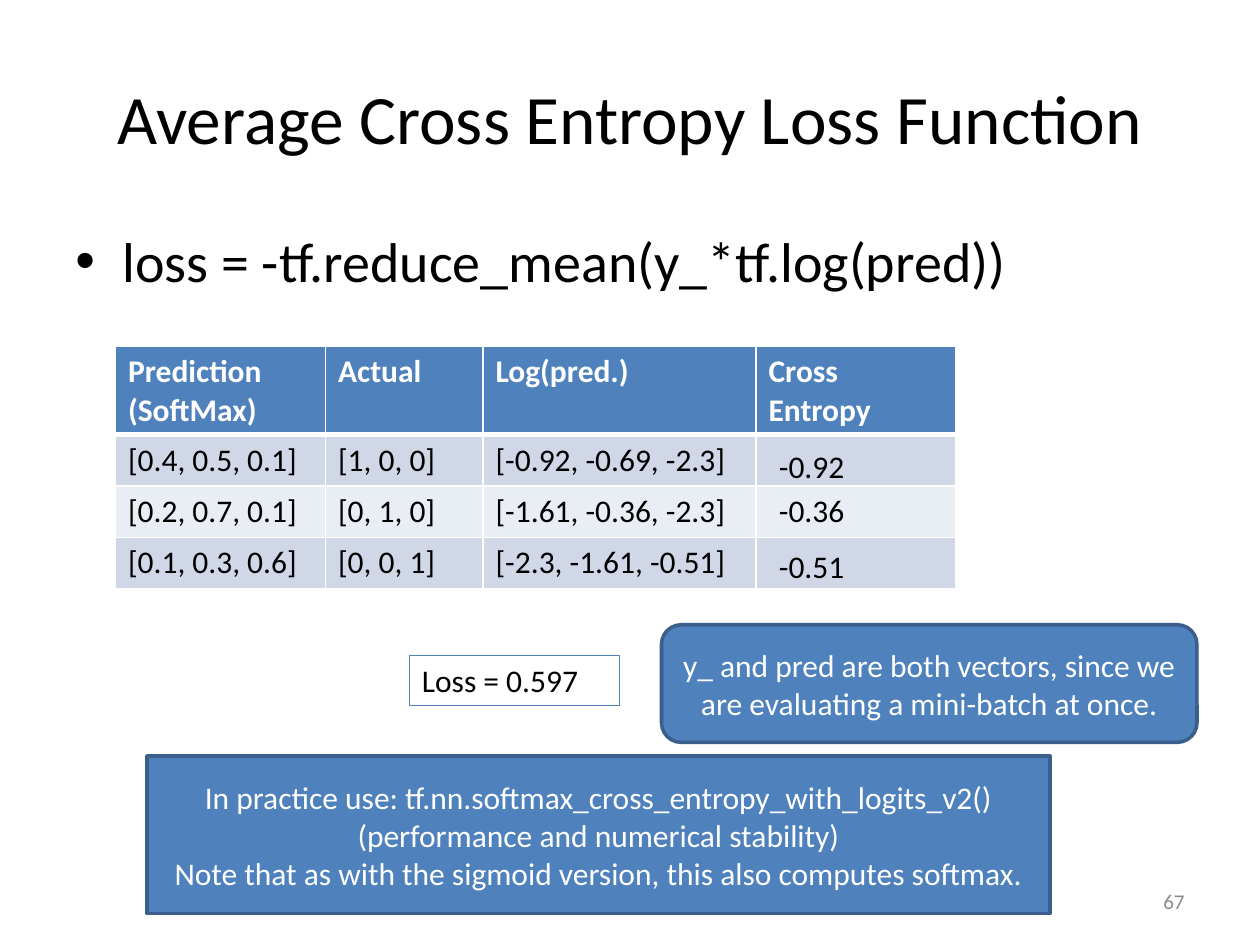
from dataclasses import dataclass

import pptx
import pptx.dml.color
import pptx.enum.shapes
import pptx.enum.text
import pptx.oxml
import pptx.oxml.ns
import pptx.util

SCALE = 7620  # EMU per px, 120 px to the inch
SHAPE = pptx.enum.shapes.MSO_SHAPE
ALIGN = pptx.enum.text.PP_ALIGN
ANCHOR = pptx.enum.text.MSO_ANCHOR


@dataclass(frozen=True)
class Theme:
    font: str = "Calibri"
    text: str = "000000"
    light: str = "FFFFFF"
    accent: str = "4F81BD"
    outline: str = "3A5F8C"
    muted: str = "8C8C8C"
    bands: tuple = ("D0D8E8", "E9EDF4")
    title_size: float = 39.6
    bullet_size: int = 32
    body_size: int = 18
    number_size: int = 12


THEME = Theme()


def px(*lengths):
    return [pptx.util.Emu(length * SCALE) for length in lengths]


def rgb(value):
    return pptx.dml.color.RGBColor.from_string(value)


def write(frame, text, size=THEME.body_size, color=THEME.text, bold=False,
          align=ALIGN.LEFT, anchor=ANCHOR.TOP):
    """Fill a text frame, one paragraph for each line of text."""
    frame.word_wrap = True
    frame.vertical_anchor = anchor
    frame.text = text
    for paragraph in frame.paragraphs:
        paragraph.alignment = align
        font = paragraph.font
        font.name, font.bold = THEME.font, bold
        font.size = pptx.util.Pt(size)
        font.color.rgb = rgb(color)
        for run in paragraph.runs:
            run.font.name, run.font.bold = THEME.font, bold
            run.font.size = pptx.util.Pt(size)
            run.font.color.rgb = rgb(color)


class SlideBuilder:
    def __init__(self, slide, theme):
        self.slide = slide
        self.theme = theme

    def title(self, box, text):
        shape = self.slide.shapes.title
        shape.left, shape.top, shape.width, shape.height = px(*box)
        write(shape.text_frame, text, size=self.theme.title_size,
              align=ALIGN.CENTER, anchor=ANCHOR.MIDDLE)

    def text(self, box, text, **style):
        shape = self.slide.shapes.add_textbox(*px(*box))
        write(shape.text_frame, text, **style)
        return shape

    def bullet(self, box, text, indent):
        shape = self.text(box, text, size=self.theme.bullet_size)
        properties = shape.text_frame.paragraphs[0]._p.get_or_add_pPr()
        properties.set("marL", str(indent * SCALE))
        properties.set("indent", str(-indent * SCALE))
        namespace = pptx.oxml.ns.nsdecls("a")
        for xml in (f'<a:buFont {namespace} typeface="Arial"/>',
                    f'<a:buChar {namespace} char="•"/>'):
            properties.append(pptx.oxml.parse_xml(xml))

    def shape(self, kind, box, text, fill=None, line=THEME.outline,
              line_width=2, **style):
        shape = self.slide.shapes.add_shape(kind, *px(*box))
        shape.shadow.inherit = False
        if fill:
            shape.fill.solid()
            shape.fill.fore_color.rgb = rgb(fill)
        else:
            shape.fill.background()
        shape.line.color.rgb = rgb(line)
        shape.line.width = pptx.util.Pt(line_width)
        write(shape.text_frame, text, **style)

    def callout(self, kind, box, text):
        self.shape(kind, box, text, fill=self.theme.accent,
                   color=self.theme.light, align=ALIGN.CENTER,
                   anchor=ANCHOR.MIDDLE)

    def borders(self, cell, top, bottom):
        properties = cell._tc.get_or_add_tcPr()
        for side, width in (("L", 1), ("R", 1), ("T", top), ("B", bottom)):
            properties.append(pptx.oxml.parse_xml(
                f'<a:ln{side} {pptx.oxml.ns.nsdecls("a")} '
                f'w="{pptx.util.Pt(width)}"><a:solidFill>'
                f'<a:srgbClr val="{self.theme.light}"/>'
                f'</a:solidFill></a:ln{side}>'))

    def table(self, left, top, widths, heights, rows):
        table = self.slide.shapes.add_table(
            len(rows), len(widths),
            *px(left, top, sum(widths), sum(heights))).table
        for column, width in zip(table.columns, px(*widths)):
            column.width = width
        for row, height in zip(table.rows, px(*heights)):
            row.height = height
        for index, row in enumerate(rows):
            header = index == 0
            fill = self.theme.accent if header else self.theme.bands[(index - 1) % 2]
            for column, text in enumerate(row):
                cell = table.cell(index, column)
                self.borders(cell, top=3 if index == 1 else 1,
                             bottom=3 if header else 1)
                cell.fill.solid()
                cell.fill.fore_color.rgb = rgb(fill)
                write(cell.text_frame, text, bold=header,
                      color=self.theme.light if header else self.theme.text)


def main():
    presentation = pptx.Presentation()
    presentation.slide_width, presentation.slide_height = px(1200, 900)
    slide = presentation.slides.add_slide(presentation.slide_layouts[5])
    builder = SlideBuilder(slide, THEME)

    # Title and formula
    builder.title((60, 36, 1080, 150), "Average Cross Entropy Loss Function")
    builder.bullet((60, 210, 1080, 594),
                   "loss = -tf.reduce_mean(y_*tf.log(pred))", indent=45)

    # Worked example
    builder.table(110, 330, (200, 150, 260, 190), (84, 49, 49, 49), (
        ("Prediction\n(SoftMax)", "Actual", "Log(pred.)", "Cross Entropy"),
        ("[0.4, 0.5, 0.1]", "[1, 0, 0]", "[-0.92, -0.69, -2.3]", ""),
        ("[0.2, 0.7, 0.1]", "[0, 1, 0]", "[-1.61, -0.36, -2.3]", ""),
        ("[0.1, 0.3, 0.6]", "[0, 0, 1]", "[-2.3, -1.61, -0.51]", ""),
    ))

    # Resulting loss
    builder.shape(SHAPE.RECTANGLE, (390, 624, 200, 48), "Loss = 0.597",
                  line=THEME.accent, line_width=0.75)

    # Cross entropy values over the last column
    for top, width, value in ((420, 100, "-0.92"), (462, 120, "-0.36"),
                              (515, 100, "-0.51")):
        builder.text((730, top, width, 48), value)

    # Notes on use
    builder.callout(SHAPE.ROUNDED_RECTANGLE, (630, 595, 510, 112),
                    "y_ and pred are both vectors, since we are evaluating "
                    "a mini-batch at once.")

    # Slide number
    builder.text((860, 834, 280, 48), "67", size=THEME.number_size,
                 color=THEME.muted, align=ALIGN.RIGHT, anchor=ANCHOR.MIDDLE)

    builder.callout(SHAPE.RECTANGLE, (140, 720, 860, 150),
                    "In practice use: tf.nn.softmax_cross_entropy_with_logits_v2()\n"
                    "(performance and numerical stability)\n"
                    "Note that as with the sigmoid version, this also computes softmax.")

    presentation.save("out.pptx")


if __name__ == "__main__":
    main()
